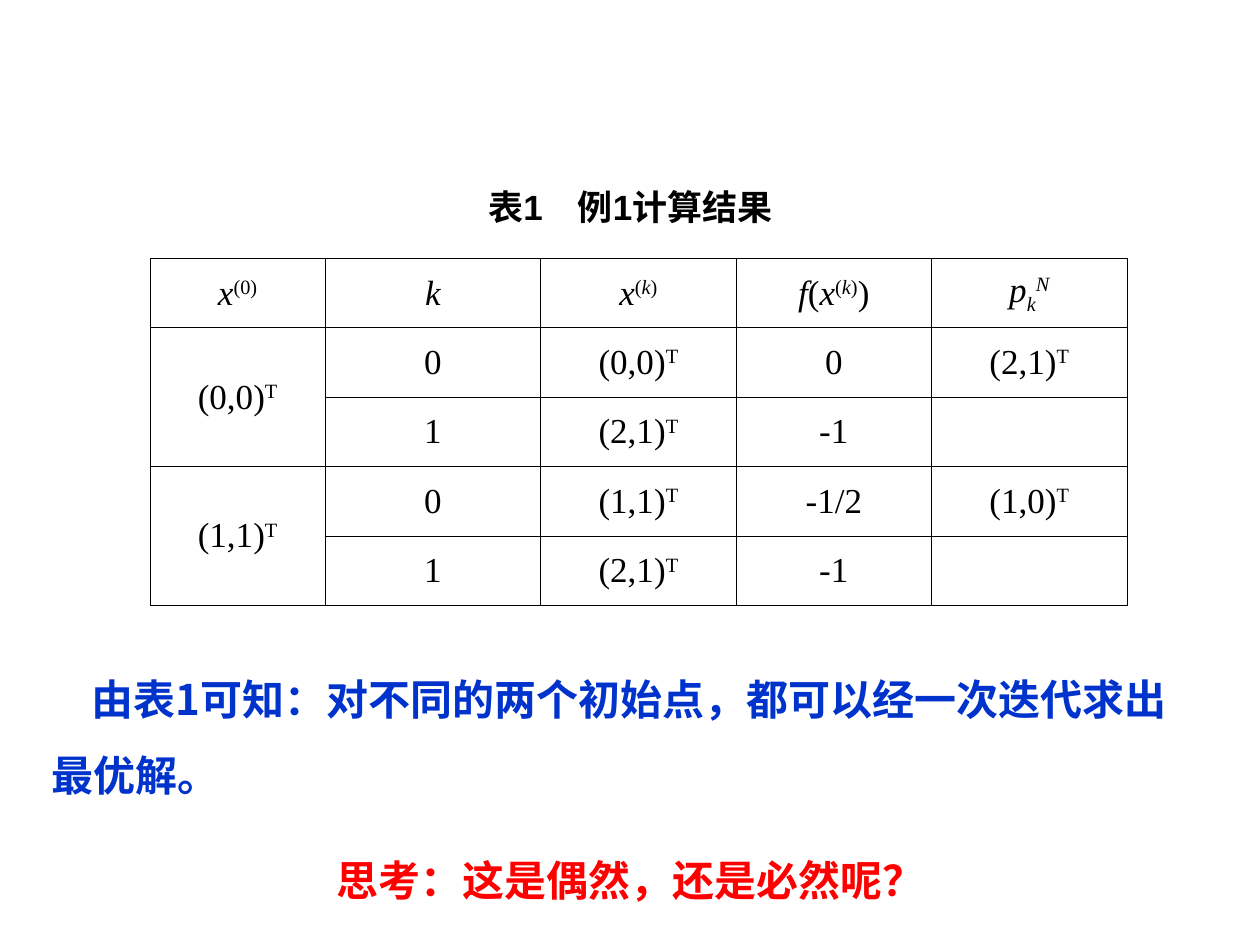
"""Build a slide with a table of iteration results and two remarks below it."""
from lxml import etree
from pptx import Presentation, util as u
from pptx.dml.color import RGBColor
from pptx.enum import text
from pptx.oxml import ns


def style_run(run, font, size, color, bold=False, italic=False):
    run.font.name = font
    run.font.size = u.Pt(size)
    run.font.bold = bold
    run.font.italic = italic
    run.font.color.rgb = RGBColor.from_string(color)
    east_asian = etree.SubElement(run._r.get_or_add_rPr(), ns.qn("a:ea"))
    east_asian.set("typeface", "Noto Sans CJK SC")


def add_border(cell, position, side):
    line = etree.Element(ns.qn(f"a:ln{side}"), w=str(u.Pt(0.45)))
    fill = etree.SubElement(line, ns.qn("a:solidFill"))
    etree.SubElement(fill, ns.qn("a:srgbClr"), val="000000")
    cell._tc.get_or_add_tcPr().insert(position, line)


presentation = Presentation()
presentation.slide_width = u.Cm(25.4)
presentation.slide_height = u.Cm(19.05)
slide = presentation.slides.add_slide(presentation.slide_layouts[6])

column_widths = [3.52, 4.35, 3.94, 3.94, 3.94]
row_height = 1.4
baselines = {"^": "30000", "_": "-25000"}
rows = [
    ["x|^(0)", "k", "x|^(|^k|^)", "f|(|x|^(|^k|^)|)", "p|_k|^N"],
    ["(0,0)|^T", "0", "(0,0)|^T", "0", "(2,1)|^T"],
    ["", "1", "(2,1)|^T", "-1", ""],
    ["(1,1)|^T", "0", "(1,1)|^T", "-1/2", "(1,0)|^T"],
    ["", "1", "(2,1)|^T", "-1", ""],
]
frame = slide.shapes.add_table(
    len(rows), len(column_widths), u.Cm(3.03), u.Cm(5.21),
    u.Cm(sum(column_widths)), u.Cm(row_height * len(rows)))
table = frame.table
table.first_row = table.horz_banding = False
for column, width in zip(table.columns, column_widths):
    column.width = u.Cm(width)
for row_index, row in enumerate(rows):
    table.rows[row_index].height = u.Cm(row_height)
    for column_index, formula in enumerate(row):
        cell = table.cell(row_index, column_index)
        cell.vertical_anchor = text.MSO_ANCHOR.MIDDLE
        cell.fill.background()
        for position, side in enumerate("LRTB"):
            add_border(cell, position, side)
        paragraph = cell.text_frame.paragraphs[0]
        paragraph.alignment = text.PP_ALIGN.CENTER
        for part in formula.split("|") if formula else []:
            run = paragraph.add_run()
            run.text = part.lstrip("^_")
            style_run(run, "Times New Roman", 20, "000000", italic=run.text in "xkfpN")
            if part[0] in baselines:
                run._r.get_or_add_rPr().set("baseline", baselines[part[0]])
for row_index in (1, 3):
    table.cell(row_index, 0).merge(table.cell(row_index + 1, 0))

left, center = text.PP_ALIGN.LEFT, text.PP_ALIGN.CENTER
remarks = [
    ("表1　例1计算结果", (6.4, 3.61, 12.62, 1.12), "Arial", 20, "000000", center, 1, 0, True),
    ("由表1可知：对不同的两个初始点，都可以经一次迭代求出最优解。",
     (0.79, 12.95, 23.8, 3.3), "Noto Sans CJK SC", 24, "0033CC", left, 1.5, 0.81, True),
    ("思考：这是偶然，还是必然呢？",
     (6.53, 16.59, 12.34, 1.78), "Noto Sans CJK SC", 24, "FF0000", left, 1.5, 0, False),
]
for words, place, font, size, color, alignment, spacing, indent, wrap in remarks:
    shape = slide.shapes.add_textbox(*map(u.Cm, place))
    shape.text_frame.word_wrap = wrap
    shape.text_frame.text = words
    paragraph = shape.text_frame.paragraphs[0]
    paragraph.alignment = alignment
    paragraph.line_spacing = spacing
    paragraph._p.get_or_add_pPr().set("indent", str(u.Cm(indent)))
    style_run(paragraph.runs[0], font, size, color, bold=True)

presentation.save("out.pptx")
